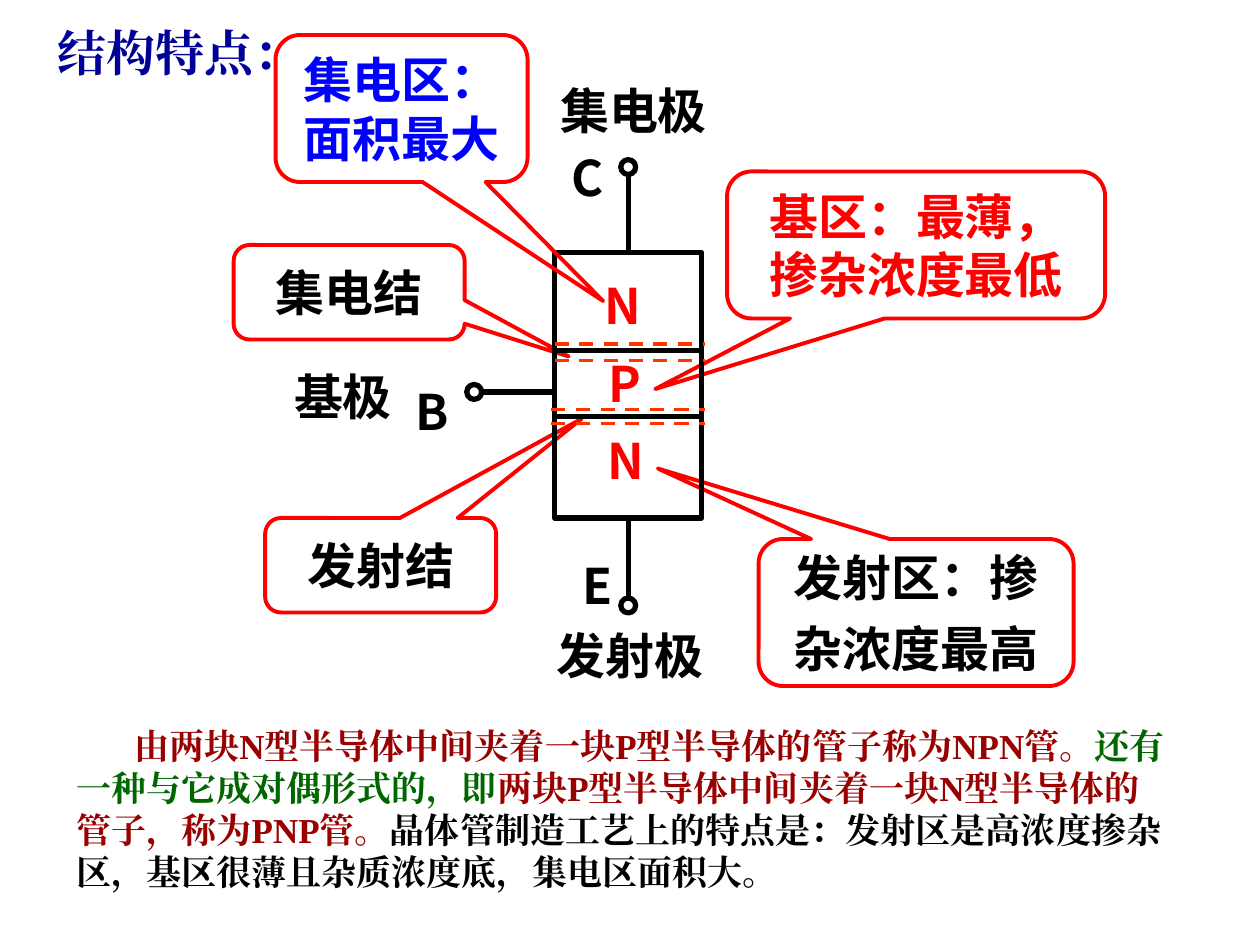
from lxml.etree import SubElement
from pptx import Presentation
from pptx.dml.color import RGBColor
from pptx.enum.dml import MSO_LINE
from pptx.enum.shapes import MSO_CONNECTOR as Conn, MSO_SHAPE as Kind
from pptx.enum.text import MSO_ANCHOR as Anchor, PP_ALIGN as Align
from pptx.oxml.ns import qn
from pptx.util import Pt

BLACK = RGBColor(0, 0, 0)
RED = RGBColor(255, 0, 0)
BLUE = RGBColor(0, 0, 255)
NAVY = RGBColor(0, 0, 0x99)
GREEN = RGBColor(0, 0x66, 0)
MAROON = RGBColor(0x99, 0, 0)
ORANGE = RGBColor(0xFF, 0x33, 0)
SANS = "Noto Sans CJK SC"
SERIF = "Times New Roman"

TITLE = "结构特点："
NOTE = [
    ("由两块N型半导体中间夹着一块P型半导体的管子称为NPN管。", MAROON),
    ("还有一种与它成对偶形式的，即", GREEN),
    ("两块P型半导体中间夹着一块N型半导体的管子，称为PNP管。", MAROON),
    ("晶体管制造工艺上的特点是：发射区是高浓度掺杂区，基区很薄且杂质浓度底，集电区面积大。", BLACK),
]
CALLOUTS = [
    (["基区：最薄，", "掺杂浓度最低"], RED, (415.5, 98, 216, 84), (-0.69, 0.98), 0),
    (["发射区：掺", "杂浓度最高"], BLACK, (433.5, 308, 180, 84), (-0.82, -0.98), 7),
    (["发射结"], BLACK, (151.5, 296, 132, 54), (0.87, -1.55), 0),
    (["集电结"], BLACK, (133.5, 140, 132, 54), (0.95, 0.68), 0),
    (["集电区：", "面积最大"], BLUE, (157.5, 20, 144, 84), (0.8, 1.31), 0),
]
LABELS = [
    ("B", BLACK, 247, 235), ("E", BLACK, 341.7, 334.5), ("C", BLACK, 336, 101),
    ("N", RED, 356, 174.5), ("N", RED, 357.5, 263), ("P", RED, 357, 219),
    ("基极", BLACK, 196, 226.5), ("发射极", BLACK, 360, 374), ("集电极", BLACK, 362, 63),
]
LEFT, TOP, WIDE = 317, 144.5, 84
HIGHS = [56, 37.5, 58]
DOT = 8.5
PINS = [(359, 95.5), (271, 224), (359, 346)]
DASHES = [(317, 196.5), (317, 206), (315, 234), (315, 242)]

deck = Presentation()
deck.slide_width, deck.slide_height = Pt(720), Pt(540)
slide = deck.slides.add_slide(deck.slide_layouts[6])
shapes = slide.shapes


def put(para, text, size, face, color):
    run = para.add_run()
    run.text = text
    font = run.font
    font.size, font.name, font.bold = Pt(size), face, True
    font.color.rgb = color
    SubElement(font._element, qn("a:ea")).set("typeface", face)


def outline(kind, box, color, width):
    shape = shapes.add_shape(kind, *map(Pt, box))
    shape.shadow.inherit = False
    shape.fill.background()
    shape.line.color.rgb = color
    shape.line.width = Pt(width)
    return shape


def wire(start, end, color, width):
    line = shapes.add_connector(Conn.STRAIGHT, *map(Pt, start + end))
    line.line.color.rgb = color
    line.line.width = Pt(width)
    SubElement(line._element.spPr, qn("a:effectLst"))
    return line


def textbox(box, wrap):
    frame = shapes.add_textbox(*map(Pt, box)).text_frame
    frame.word_wrap = wrap
    return frame


def callout(lines, color, box, tip, gap):
    shape = outline(Kind.ROUNDED_RECTANGULAR_CALLOUT, box, RED, 2.25)
    shape.adjustments[0], shape.adjustments[1] = tip
    frame = shape.text_frame
    frame.word_wrap = False
    frame.vertical_anchor = Anchor.MIDDLE
    for i, text in enumerate(lines):
        para = frame.add_paragraph() if i else frame.paragraphs[0]
        para.alignment = Align.CENTER
        if i and gap:
            para.space_before = Pt(gap)
        put(para, text, 28, SANS, color)


for item in CALLOUTS[:-1]:
    callout(*item)

zones = []
for i, high in enumerate(HIGHS):
    top = TOP + sum(HIGHS[:i])
    zones.append(outline(Kind.RECTANGLE, (LEFT, top, WIDE, high), BLACK, 3))

for x, y in PINS:
    outline(Kind.OVAL, (x - DOT / 2, y - DOT / 2, DOT, DOT), BLACK, 3)
(cx, cy), (bx, by), (ex, ey) = PINS
lead = wire((cx, cy + DOT / 2), (cx, TOP), BLACK, 3)
lead.end_connect(zones[0], 0)
wire((bx + DOT / 2, by), (LEFT, by), BLACK, 3)
lead = wire((ex, ey - DOT / 2), (ex, TOP + sum(HIGHS)), BLACK, 3)
lead.end_connect(zones[2], 2)

for text, color, x, y in LABELS:
    wide = 28 * len(text) + 15
    frame = textbox((x - wide / 2, y - 20.5, wide, 41), False)
    frame.vertical_anchor = Anchor.MIDDLE
    para = frame.paragraphs[0]
    para.alignment = Align.CENTER
    put(para, text, 28, SANS, color)

for x, y in DASHES:
    wire((x, y), (403, y), ORANGE, 2).line.dash_style = MSO_LINE.DASH

frame = textbox((26, 9.5, 154, 41), False)
put(frame.paragraphs[0], TITLE, 28, SERIF, NAVY)
callout(*CALLOUTS[-1])

para = textbox((36.5, 410.5, 641, 104), True).paragraphs[0]
para._p.get_or_add_pPr().set("indent", str(Pt(33)))
for text, color in NOTE:
    put(para, text, 20, SERIF, color)

deck.save("out.pptx")
